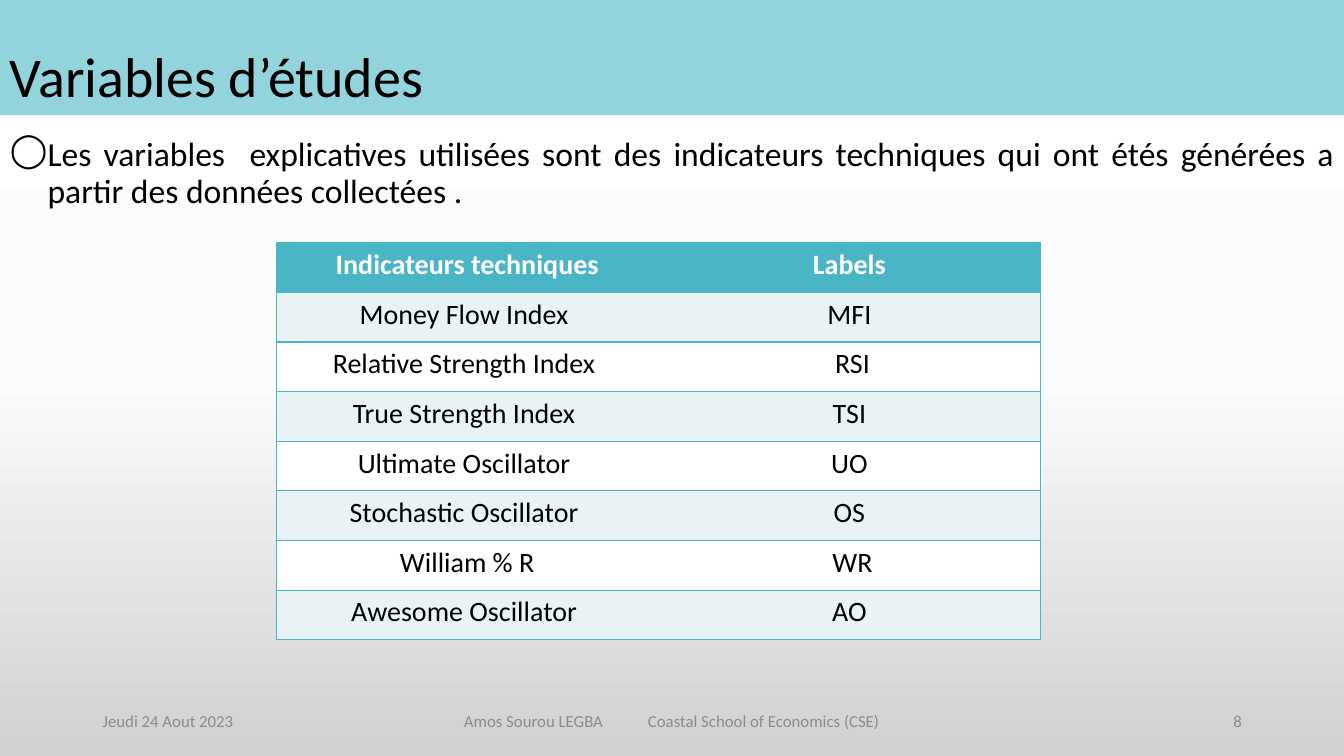
from copy import deepcopy
from dataclasses import dataclass
from typing import Optional

from pptx import Presentation
from pptx.dml.color import RGBColor
from pptx.enum.shapes import MSO_SHAPE
from pptx.enum.text import MSO_ANCHOR, PP_ALIGN
from pptx.oxml import parse_xml
from pptx.oxml.ns import nsdecls, qn
from pptx.shapes.base import BaseShape
from pptx.slide import Slide
from pptx.table import _Cell
from pptx.text.text import _Paragraph
from pptx.util import Cm, Pt

BLACK = RGBColor(0x00, 0x00, 0x00)
WHITE = RGBColor(0xFF, 0xFF, 0xFF)
GREY = RGBColor(0x8C, 0x8C, 0x8C)
BANNER = RGBColor(0x92, 0xD3, 0xDC)
TEAL = RGBColor(0x4A, 0xB5, 0xC4)
BAND = RGBColor(0xE9, 0xF3, 0xF5)
FADE_MIDDLE = RGBColor(0xFB, 0xFB, 0xFB)
FADE_END = RGBColor(0xD1, 0xD1, 0xD1)

FONT = "Calibri"
SLIDE_WIDTH = 33.87
ROW_HEIGHT = 1.25
COLUMN_WIDTH = 9.63


@dataclass(frozen=True)
class TextSpec:
    text: str
    left: float
    top: float
    width: float
    height: float
    size: int
    color: RGBColor = BLACK
    align: PP_ALIGN = PP_ALIGN.LEFT
    anchor: MSO_ANCHOR = MSO_ANCHOR.TOP
    fill: Optional[RGBColor] = None


@dataclass(frozen=True)
class Indicator:
    name: str
    label: str


def footer(text: str, left: float, width: float, align: PP_ALIGN) -> TextSpec:
    return TextSpec(text, left, 17.65, width, 1.02, 12, GREY, align, MSO_ANCHOR.MIDDLE)


TITLE = TextSpec("Variables d’études", 0, 0, SLIDE_WIDTH, 2.9, 40,
                 anchor=MSO_ANCHOR.BOTTOM, fill=BANNER)
EXPLANATION = TextSpec(
    "Les variables  explicatives utilisées sont des indicateurs techniques "
    "qui ont étés générées a partir des données collectées .",
    0, 3.35, SLIDE_WIDTH, 13.92, 24, align=PP_ALIGN.JUSTIFY)
FOOTERS = [
    footer("Jeudi 24 Aout 2023", 2.34, 7.62, PP_ALIGN.LEFT),
    footer("Amos Sourou LEGBA", 11.23, 4.22, PP_ALIGN.RIGHT),
    footer("Coastal School of Economics (CSE)", 16.08, 6.58, PP_ALIGN.LEFT),
    footer("8", 23.93, 7.62, PP_ALIGN.RIGHT),
]
INDICATORS = [
    Indicator(" Indicateurs techniques ", " Labels "),
    Indicator("Money Flow Index ", "MFI"),
    Indicator("Relative Strength Index ", " RSI"),
    Indicator("True Strength Index ", "TSI"),
    Indicator("Ultimate Oscillator ", "UO"),
    Indicator("Stochastic Oscillator ", "OS"),
    Indicator("William % R", " WR"),
    Indicator("Awesome Oscillator ", "AO"),
]


def write(paragraph: _Paragraph, text: str, size: int, color: RGBColor,
          align: PP_ALIGN, bold: bool = False) -> None:
    paragraph.text = text
    paragraph.alignment = align
    for run in paragraph.runs:
        run.font.name = FONT
        run.font.size = Pt(size)
        run.font.bold = bold
        run.font.color.rgb = color


def draw_text(slide: Slide, spec: TextSpec) -> BaseShape:
    area = Cm(spec.left), Cm(spec.top), Cm(spec.width), Cm(spec.height)
    if spec.fill is None:
        shape = slide.shapes.add_textbox(*area)
    else:
        shape = slide.shapes.add_shape(MSO_SHAPE.RECTANGLE, *area)
        shape.shadow.inherit = False
        shape.fill.solid()
        shape.fill.fore_color.rgb = spec.fill
        shape.line.fill.background()
    shape.text_frame.word_wrap = True
    shape.text_frame.vertical_anchor = spec.anchor
    write(shape.text_frame.paragraphs[0], spec.text, spec.size, spec.color, spec.align)
    return shape


def add_bullet(paragraph: _Paragraph, symbol: str, indent: float) -> None:
    properties = paragraph._p.get_or_add_pPr()
    properties.set("marL", str(Cm(indent)))
    properties.set("indent", str(-Cm(indent)))
    properties.append(parse_xml(f'<a:buChar {nsdecls("a")} char="{symbol}"/>'))


def paint_background(slide: Slide) -> None:
    fill = slide.background.fill
    fill.gradient()
    fill.gradient_angle = 270
    stop_list = slide._element.find(".//" + qn("a:gsLst"))
    stop_list.append(deepcopy(stop_list[-1]))
    fades = [(0, WHITE), (0.5, FADE_MIDDLE), (1, FADE_END)]
    for stop, (position, color) in zip(fill.gradient_stops, fades):
        stop.position = position
        stop.color.rgb = color


def set_borders(cell: _Cell, inner_side: str) -> None:
    properties = cell._tc.get_or_add_tcPr()
    for side in ("lnL", "lnR", "lnT", "lnB"):
        paint = ("<a:noFill/>" if side == inner_side else
                 f'<a:solidFill><a:srgbClr val="{TEAL}"/></a:solidFill>')
        properties.append(parse_xml(
            f'<a:{side} {nsdecls("a")} w="{Pt(1)}">{paint}</a:{side}>'))


def draw_indicators(slide: Slide, indicators: list[Indicator]) -> None:
    count = len(indicators)
    table = slide.shapes.add_table(count, 2, Cm(6.96), Cm(6.12),
                                   Cm(2 * COLUMN_WIDTH), Cm(count * ROW_HEIGHT)).table
    table.first_row = table.horz_banding = False
    for row, indicator in enumerate(indicators):
        header = row == 0
        fill = TEAL if header else BAND if row % 2 else WHITE
        for column, text in enumerate((indicator.name, indicator.label)):
            cell = table.cell(row, column)
            set_borders(cell, "lnL" if column else "lnR")
            cell.fill.solid()
            cell.fill.fore_color.rgb = fill
            write(cell.text_frame.paragraphs[0], text, 20,
                  WHITE if header else BLACK, PP_ALIGN.CENTER, header)


def main() -> None:
    presentation = Presentation()
    presentation.slide_width = Cm(SLIDE_WIDTH)
    presentation.slide_height = Cm(19.05)
    slide = presentation.slides.add_slide(presentation.slide_layouts[6])
    paint_background(slide)

    title = draw_text(slide, TITLE).text_frame.paragraphs[0]
    title.line_spacing = 0.9
    explanation = draw_text(slide, EXPLANATION).text_frame.paragraphs[0]
    explanation.line_spacing = 0.9
    explanation.space_before = Pt(10)
    add_bullet(explanation, "◯", 0.95)

    draw_indicators(slide, INDICATORS)
    for spec in FOOTERS:
        draw_text(slide, spec)
    presentation.save("out.pptx")


if __name__ == "__main__":
    main()
